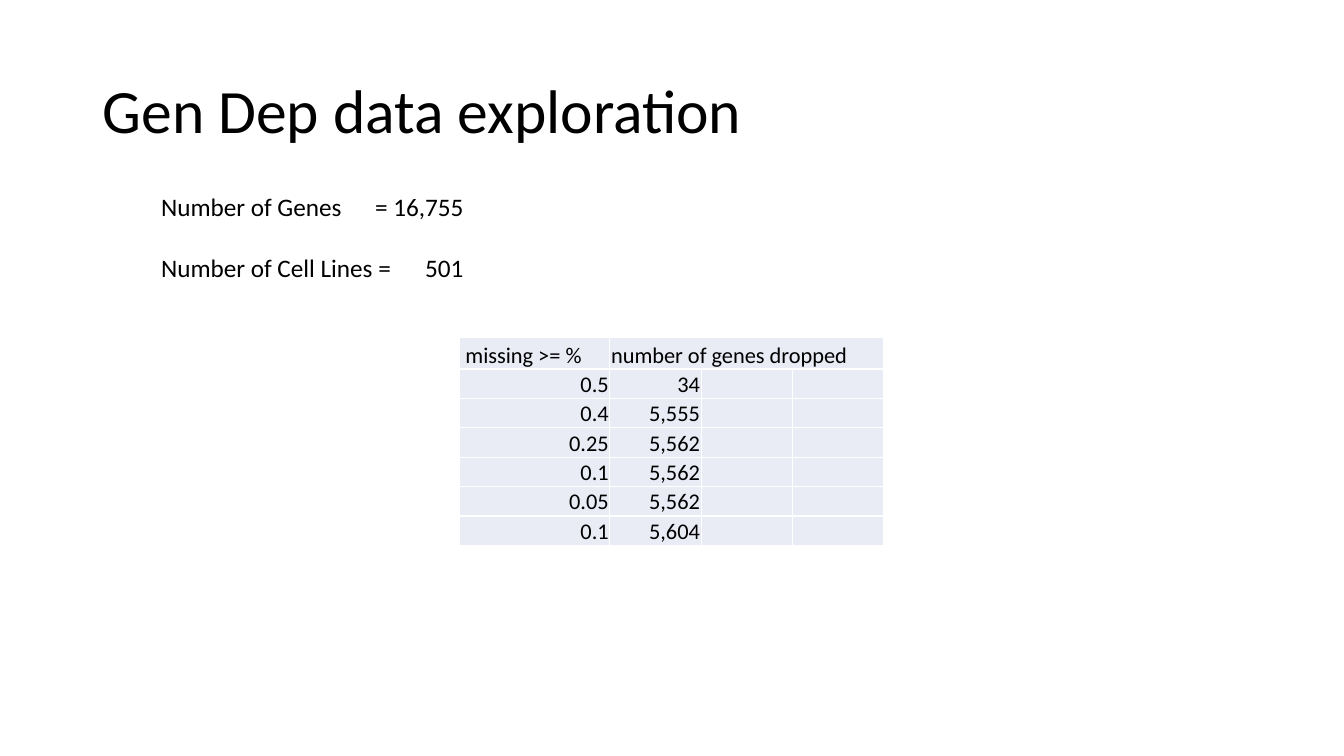
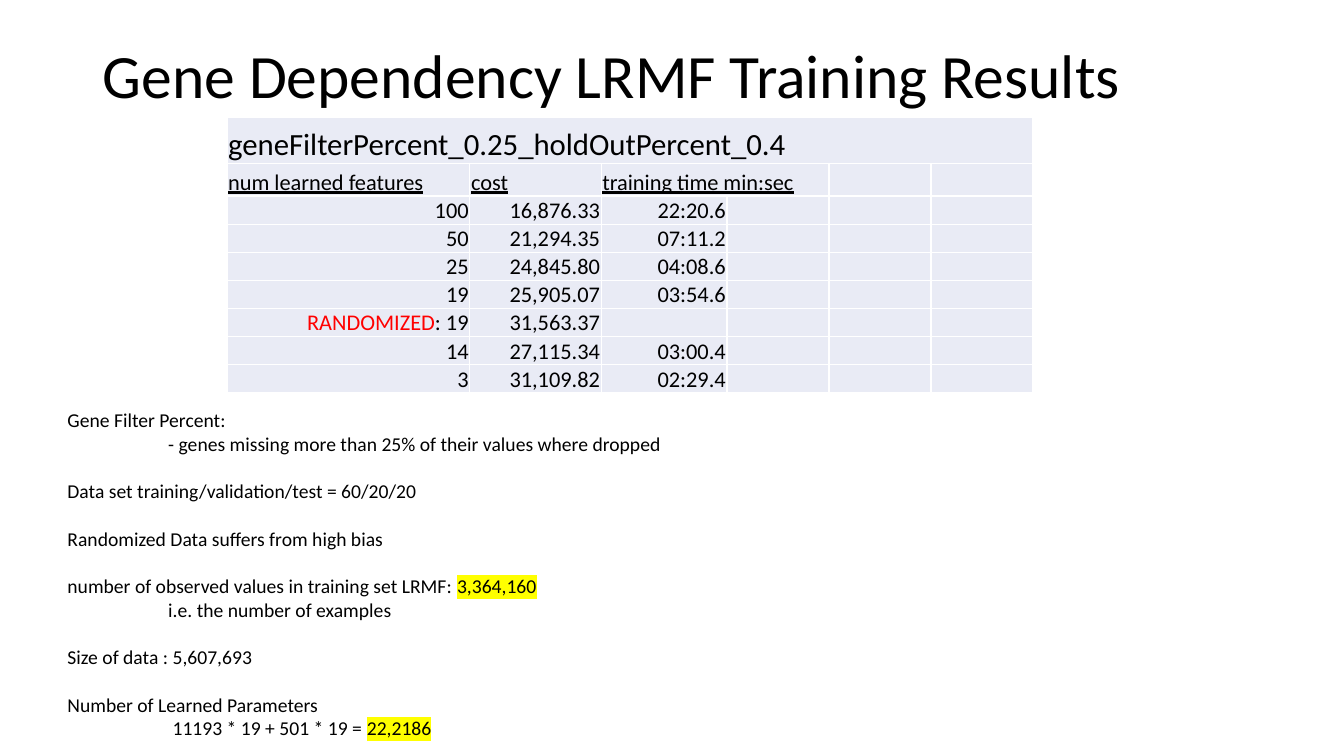
from dataclasses import dataclass

from lxml.etree import SubElement
from pptx import Presentation
from pptx.dml.color import RGBColor
from pptx.enum.text import MSO_ANCHOR, MSO_AUTO_SIZE, PP_ALIGN
from pptx.oxml.ns import qn
from pptx.slide import Slide
from pptx.table import _Cell
from pptx.text.text import TextFrame, _Paragraph
from pptx.util import Cm, Pt

FONT = "Calibri"
COLORS = {
    "text": "000000",
    "alert": "FF0000",
    "highlight": "FFFF00",
    "cell": "E9EBF5",
    "border": "FFFFFF",
}
TABLE_SIZE = 16
LINE_HEIGHT = 1.22
CELL_MARGIN = 0.03


@dataclass(frozen=True)
class Span:
    text: str
    color: str = ""
    highlight: str = ""


@dataclass(frozen=True)
class Line:
    spans: tuple[Span, ...]
    size: float = TABLE_SIZE
    indent: float = 0
    right_tab: float = 0
    gap: bool = False
    align: PP_ALIGN = PP_ALIGN.LEFT
    underline: bool = False


@dataclass(frozen=True)
class TableCell:
    line: Line
    columns: int = 1
    margin_left: float = CELL_MARGIN


@dataclass(frozen=True)
class Grid:
    left: float
    top: float
    widths: tuple[float, ...]
    heights: tuple[float, ...]
    rows: tuple[tuple[TableCell, ...], ...]


@dataclass(frozen=True)
class Box:
    left: float
    top: float
    width: float
    height: float


def rgb(name: str) -> RGBColor:
    return RGBColor.from_string(COLORS[name])


def write_line(paragraph: _Paragraph, line: Line) -> None:
    properties = paragraph._p.get_or_add_pPr()
    if line.indent:
        properties.set("marL", str(Cm(line.indent)))
        properties.set("indent", "0")
    paragraph.alignment = line.align
    if line.gap:
        paragraph.space_before = Pt(round(line.size * LINE_HEIGHT, 1))
    if line.right_tab:
        tabs = SubElement(properties, qn("a:tabLst"))
        SubElement(tabs, qn("a:tab"), pos=str(Cm(line.right_tab)), algn="r")
    font = paragraph.font
    font.name, font.size = FONT, Pt(line.size)
    font.color.rgb = rgb("text")
    if line.underline:
        font.underline = True
    for span in line.spans:
        run = paragraph.add_run()
        run.text = span.text
        if span.color:
            run.font.color.rgb = rgb(span.color)
        if span.highlight:
            highlight = SubElement(run._r.get_or_add_rPr(), qn("a:highlight"))
            SubElement(highlight, qn("a:srgbClr"), val=COLORS[span.highlight])


def add_text(slide: Slide, box: Box, lines: tuple[Line, ...]) -> TextFrame:
    shape = slide.shapes.add_textbox(
        Cm(box.left), Cm(box.top), Cm(box.width), Cm(box.height)
    )
    frame = shape.text_frame
    frame.word_wrap = True
    for index, line in enumerate(lines):
        write_line(frame.add_paragraph() if index else frame.paragraphs[0], line)
    return frame


def add_title(slide: Slide, text: str, height: float) -> None:
    box = Box(2.34, 1.02, 29.21, height)
    frame = add_text(slide, box, (Line((Span(text),), 44),))
    frame.vertical_anchor = MSO_ANCHOR.MIDDLE
    frame.paragraphs[0].line_spacing = 0.9


def add_notes_box(slide: Slide, box: Box, lines: tuple[Line, ...]) -> None:
    add_text(slide, box, lines).auto_size = MSO_AUTO_SIZE.SHAPE_TO_FIT_TEXT


def style_cell(cell: _Cell) -> None:
    cell.margin_left = cell.margin_right = cell.margin_top = Cm(CELL_MARGIN)
    cell.margin_bottom = 0
    cell.vertical_anchor = MSO_ANCHOR.BOTTOM
    properties = cell._tc.get_or_add_tcPr()
    for side in ("lnL", "lnR", "lnT", "lnB"):
        border = SubElement(properties, qn(f"a:{side}"), w=str(Pt(1)))
        fill = SubElement(border, qn("a:solidFill"))
        SubElement(fill, qn("a:srgbClr"), val=COLORS["border"])
    cell.fill.solid()
    cell.fill.fore_color.rgb = rgb("cell")
    # An empty cell takes its line height from the end-of-paragraph size.
    paragraph = cell.text_frame.paragraphs[0]
    SubElement(paragraph._p, qn("a:endParaRPr"), sz=str(TABLE_SIZE * 100))


def add_grid(slide: Slide, grid: Grid) -> None:
    table = slide.shapes.add_table(
        len(grid.heights), len(grid.widths), Cm(grid.left), Cm(grid.top),
        Cm(sum(grid.widths)), Cm(sum(grid.heights)),
    ).table
    table.first_row = table.horz_banding = False
    for column, width in zip(table.columns, grid.widths):
        column.width = Cm(width)
    for row, height in zip(table.rows, grid.heights):
        row.height = Cm(height)
    for cell in table.iter_cells():
        style_cell(cell)
    for row_index, row_cells in enumerate(grid.rows):
        column_index = 0
        for content in row_cells:
            cell = table.cell(row_index, column_index)
            column_index += content.columns
            if content.columns > 1:
                cell.merge(table.cell(row_index, column_index - 1))
            cell.margin_left = Cm(content.margin_left)
            write_line(cell.text_frame.paragraphs[0], content.line)


def header(
    text: str, columns: int = 1, size: float = TABLE_SIZE,
    underline: bool = False, margin_left: float = CELL_MARGIN,
) -> TableCell:
    line = Line((Span(text),), size, underline=underline)
    return TableCell(line, columns, margin_left)


def value(*spans: Span) -> TableCell:
    return TableCell(Line(spans, align=PP_ALIGN.RIGHT))


def values(*texts: str) -> tuple[TableCell, ...]:
    return tuple(value(Span(text)) for text in texts)


def note(*spans: Span, indent: float = 0, gap: bool = False) -> Line:
    return Line(spans, 14, indent, gap=gap)


DROPPED_GENES = Grid(
    11.58, 8.51, (3.79, 2.3, 2.3, 2.3), (0.79,) + (0.74,) * 6,
    (
        (header("missing >= %", margin_left=0.15), header("number of genes dropped", 3)),
        values("0.5", "34"),
        values("0.4", "5,555"),
        values("0.25", "5,562"),
        values("0.1", "5,562"),
        values("0.05", "5,562"),
        values("0.1", "5,604"),
    ),
)

TRAINING_RESULTS = Grid(
    5.72, 2.95, (6.12, 3.31, 3.17) + (2.57,) * 3, (1.18, 0.81) + (0.7,) * 7,
    (
        (header("geneFilterPercent_0.25_holdOutPercent_0.4", 6, 22),),
        (
            header("num learned features", underline=True),
            header("cost", underline=True),
            header("training time min:sec", 2, underline=True),
        ),
        values("100", "16,876.33", "22:20.6"),
        values("50", "21,294.35", "07:11.2"),
        values("25", "24,845.80", "04:08.6"),
        values("19", "25,905.07", "03:54.6"),
        (value(Span("RANDOMIZED", "alert"), Span(": 19")), *values("31,563.37")),
        values("14", "27,115.34", "03:00.4"),
        values("3", "31,109.82", "02:29.4"),
    ),
)

DATA_COUNTS = (
    Line((Span("Number of Genes\t= 16,755"),), 18, right_tab=7.62),
    Line((Span("Number of Cell Lines =\t501"),), 18, right_tab=7.62, gap=True),
)

TRAINING_NOTES = (
    note(Span("Gene Filter Percent:")),
    note(Span("- genes missing more than 25% of their values where dropped"), indent=2.54),
    note(Span("Data set training/validation/test = 60/20/20"), gap=True),
    note(Span("Randomized Data suffers from high bias"), gap=True),
    note(
        Span("number of observed values in training set LRMF: "),
        Span("3,364,160", highlight="highlight"),
        gap=True,
    ),
    note(Span("i.e. the number of examples"), indent=2.54),
    note(Span("Size of data : 5,607,693"), gap=True),
    note(Span("Number of Learned Parameters"), gap=True),
    note(
        Span("11193 * 19 + 501 * 19 = "),
        Span("22,2186", highlight="highlight"),
        indent=2.65,
    ),
)


def main() -> None:
    presentation = Presentation()
    presentation.slide_width, presentation.slide_height = Cm(33.87), Cm(19.05)
    blank = presentation.slide_layouts[6]

    exploration = presentation.slides.add_slide(blank)
    add_title(exploration, "Gen Dep data exploration", 3.68)
    add_grid(exploration, DROPPED_GENES)
    add_notes_box(exploration, Box(3.81, 4.7, 12.01, 2.57), DATA_COUNTS)

    results = presentation.slides.add_slide(blank)
    add_title(results, "Gene Dependency LRMF Training Results", 1.93)
    add_grid(results, TRAINING_RESULTS)
    add_notes_box(results, Box(1.45, 10.16, 23.24, 8.76), TRAINING_NOTES)

    presentation.save("out.pptx")


if __name__ == "__main__":
    main()
